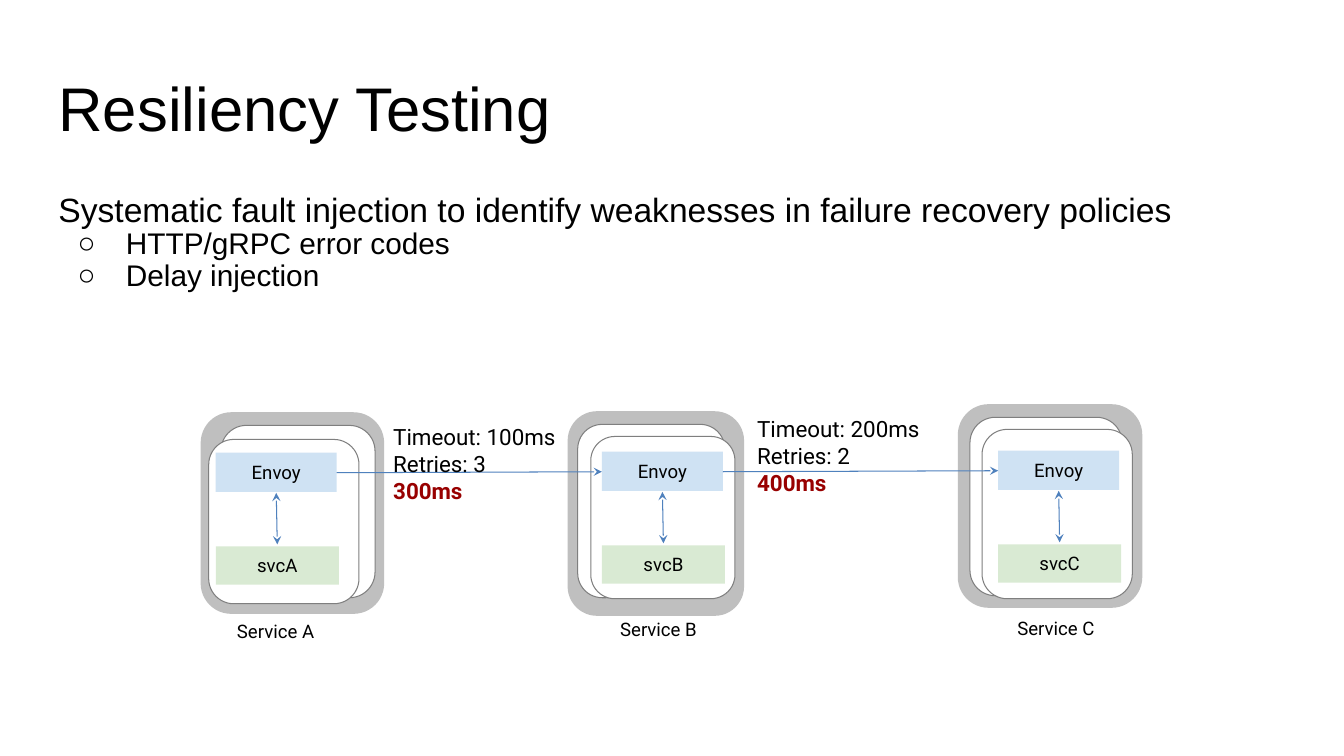
from dataclasses import dataclass
from itertools import pairwise

from lxml import etree
from pptx import Presentation
from pptx.dml.color import RGBColor
from pptx.enum.shapes import MSO_CONNECTOR, MSO_SHAPE
from pptx.enum.text import MSO_ANCHOR, PP_ALIGN
from pptx.oxml.ns import qn
from pptx.util import Pt

RECT, ROUND = MSO_SHAPE.RECTANGLE, MSO_SHAPE.ROUNDED_RECTANGLE
LINE = MSO_CONNECTOR.STRAIGHT
TOP, MIDDLE = MSO_ANCHOR.TOP, MSO_ANCHOR.MIDDLE
LEFT, CENTER = PP_ALIGN.LEFT, PP_ALIGN.CENTER
PX = 9144


@dataclass(frozen=True)
class Theme:
    ink: str = "000000"
    alert: str = "980000"
    white: str = "FFFFFF"
    group: str = "BFBFBF"
    edge: str = "7F7F7F"
    proxy: str = "CFE2F3"
    app: str = "D9EAD3"
    arrow: str = "4F81BD"
    sans: str = "Arial"
    label: str = "Roboto"
    title: float = 44
    lead: float = 24
    item: float = 21.3
    note: float = 16
    small: float = 13.3
    stroke: float = 0.75


class Deck:
    """Draws styled elements on one slide, with lengths in px."""

    def __init__(self, theme):
        self.theme = theme
        self.prs = Presentation()
        self.prs.slide_width, self.prs.slide_height = 1333 * PX, 750 * PX
        self.slide = self.prs.slides.add_slide(self.prs.slide_layouts[6])
        self.shapes = self.slide.shapes

    def frame(self, shape, pad, anchor=TOP):
        frame = shape.text_frame
        frame.word_wrap = True
        frame.vertical_anchor = anchor
        frame.margin_left = frame.margin_right = pad[0] * PX
        frame.margin_top = frame.margin_bottom = pad[1] * PX
        return frame

    def run(self, para, text, size, font, color=None, bold=False):
        run = para.add_run()
        run.text = text
        run.font.size, run.font.name, run.font.bold = Pt(size), font, bold
        run.font.color.rgb = RGBColor.from_string(color or self.theme.ink)

    def text(self, box, lines, size, font, pad=(13, 13), space=1.0):
        shape = self.shapes.add_textbox(*(v * PX for v in box))
        frame = self.frame(shape, pad)
        for i, (line, color, bold) in enumerate(lines):
            para = frame.add_paragraph() if i else frame.paragraphs[0]
            para.alignment, para.line_spacing = LEFT, space
            self.run(para, line, size, font, color, bold)
        return frame

    def bullet(self, frame, text):
        para = frame.add_paragraph()
        para.line_spacing = 0.9
        props = para._p.get_or_add_pPr()
        props.set("marL", str(67 * PX))
        props.set("indent", str(-48 * PX))
        etree.SubElement(props, qn("a:buFont")).set("typeface", self.theme.sans)
        etree.SubElement(props, qn("a:buChar")).set("char", "○")
        self.run(para, text, self.theme.item, self.theme.sans)

    def shape(self, kind, box, fill, edge=None):
        shape = self.shapes.add_shape(kind, *(v * PX for v in box))
        shape.shadow.inherit = False
        shape.fill.solid()
        shape.fill.fore_color.rgb = RGBColor.from_string(fill)
        if edge:
            shape.line.color.rgb = RGBColor.from_string(edge)
            shape.line.width = Pt(self.theme.stroke)
        else:
            shape.line.fill.background()
        return shape

    def node(self, box, text, fill):
        frame = self.frame(self.shape(RECT, box, fill), (11, 6), MIDDLE)
        para = frame.paragraphs[0]
        para.alignment = CENTER
        self.run(para, text, self.theme.small, self.theme.label)

    def arrow(self, start, end, ends=("tailEnd",)):
        line = self.shapes.add_connector(LINE, *(v * PX for v in start + end))
        line.line.color.rgb = RGBColor.from_string(self.theme.arrow)
        line.line.width = Pt(self.theme.stroke)
        props = line._element.spPr
        stroke = props.find(qn("a:ln"))
        for name in ends:
            etree.SubElement(stroke, qn("a:" + name)).set("type", "stealth")
        etree.SubElement(props, qn("a:effectLst"))

    def service(self, name, left, top, label, panels):
        look = self.theme
        fills = ((look.group, None), (look.white, look.edge), (look.white, look.edge))
        for box, (fill, edge) in zip(panels, fills):
            self.shape(ROUND, box, fill, edge)
        self.node((left, top + 93, 122, 38), "svc" + name, look.app)
        self.node((left, top, 120, 39), "Envoy", look.proxy)
        self.arrow((left + 60, top + 40), (left + 61, top + 91), ("headEnd", "tailEnd"))
        self.text((*label, 101, 33), [("Service " + name, look.ink, False)],
                  look.small, look.label, (11, 6))

    def policy(self, box, timeout, tries, total):
        look = self.theme
        lines = [("Timeout: " + timeout, look.ink, False),
                 ("Retries: " + tries, look.ink, False),
                 (total, look.alert, True)]
        self.text(box, lines, look.note, look.label)


SERVICES = [
    ("A", 214, 449, (224, 609),
     [(199, 409, 182, 200), (219, 422, 153, 171), (207, 436, 149, 163)]),
    ("B", 597, 448, (604, 607),
     [(563, 408, 175, 203), (573, 421, 146, 172), (586, 433, 143, 161)]),
    ("C", 990, 447, (998, 606),
     [(950, 401, 183, 202), (962, 414, 151, 177), (974, 426, 149, 168)]),
]


def main():
    look = Theme()
    deck = Deck(look)
    deck.text((45, 65, 1242, 84), [("Resiliency Testing", look.ink, False)],
              look.title, look.sans, space=0.9)
    lead = "Systematic fault injection to identify weaknesses in failure recovery policies"
    body = deck.text((45, 168, 1193, 498), [(lead, look.ink, False)],
                     look.lead, look.sans, space=1.15)
    for item in ("HTTP/gRPC error codes", "Delay injection"):
        deck.bullet(body, item)
    for service in SERVICES:
        deck.service(*service)
    for (_, left, top, *_), (_, stop, end, *_) in pairwise(SERVICES):
        deck.arrow((left + 120, top + 20), (stop, end + 20))
    deck.policy((377, 407, 215, 96), "100ms", "3", "300ms")
    deck.policy((738, 399, 215, 84), "200ms", "2", "400ms")
    deck.prs.save("out.pptx")


if __name__ == "__main__":
    main()
